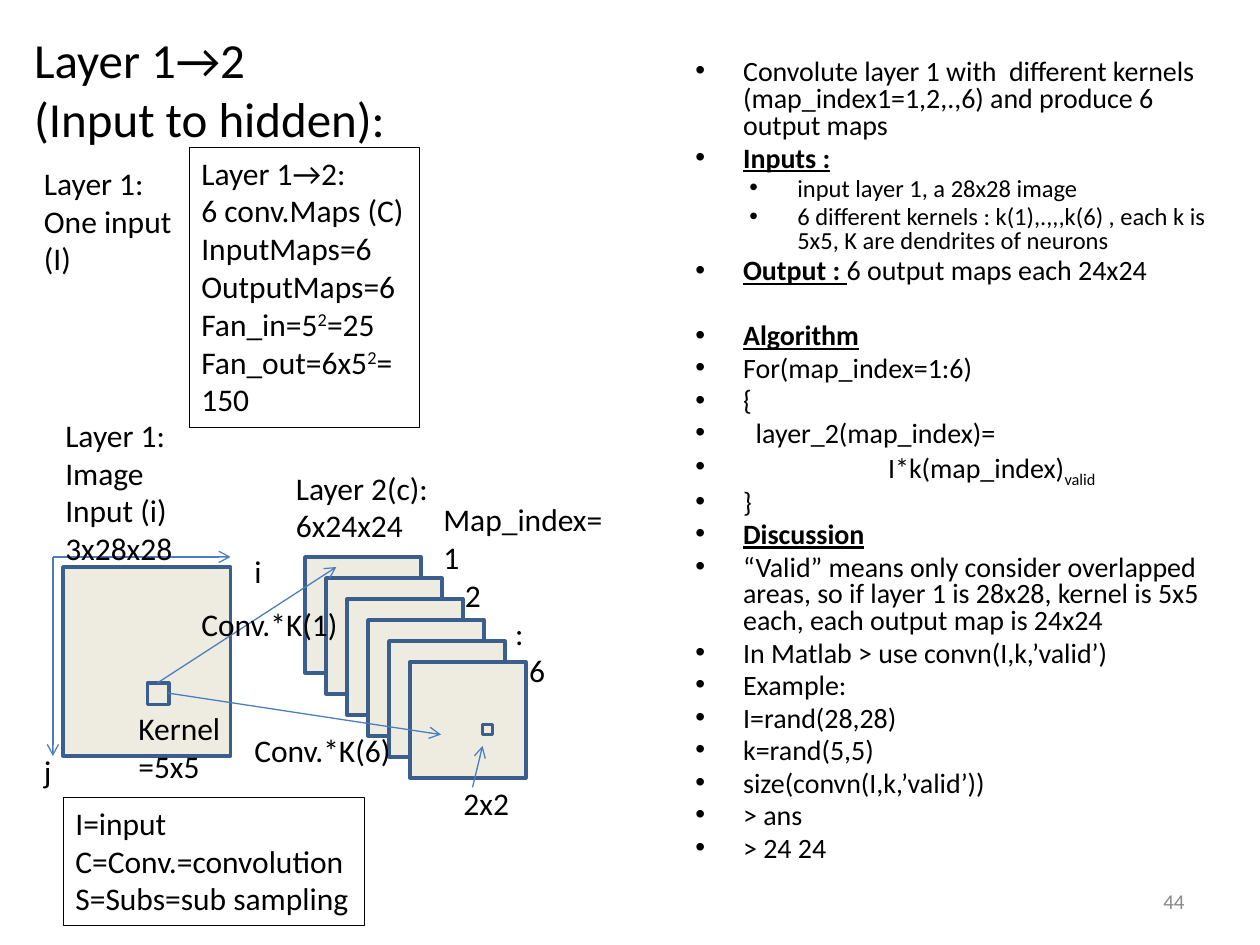
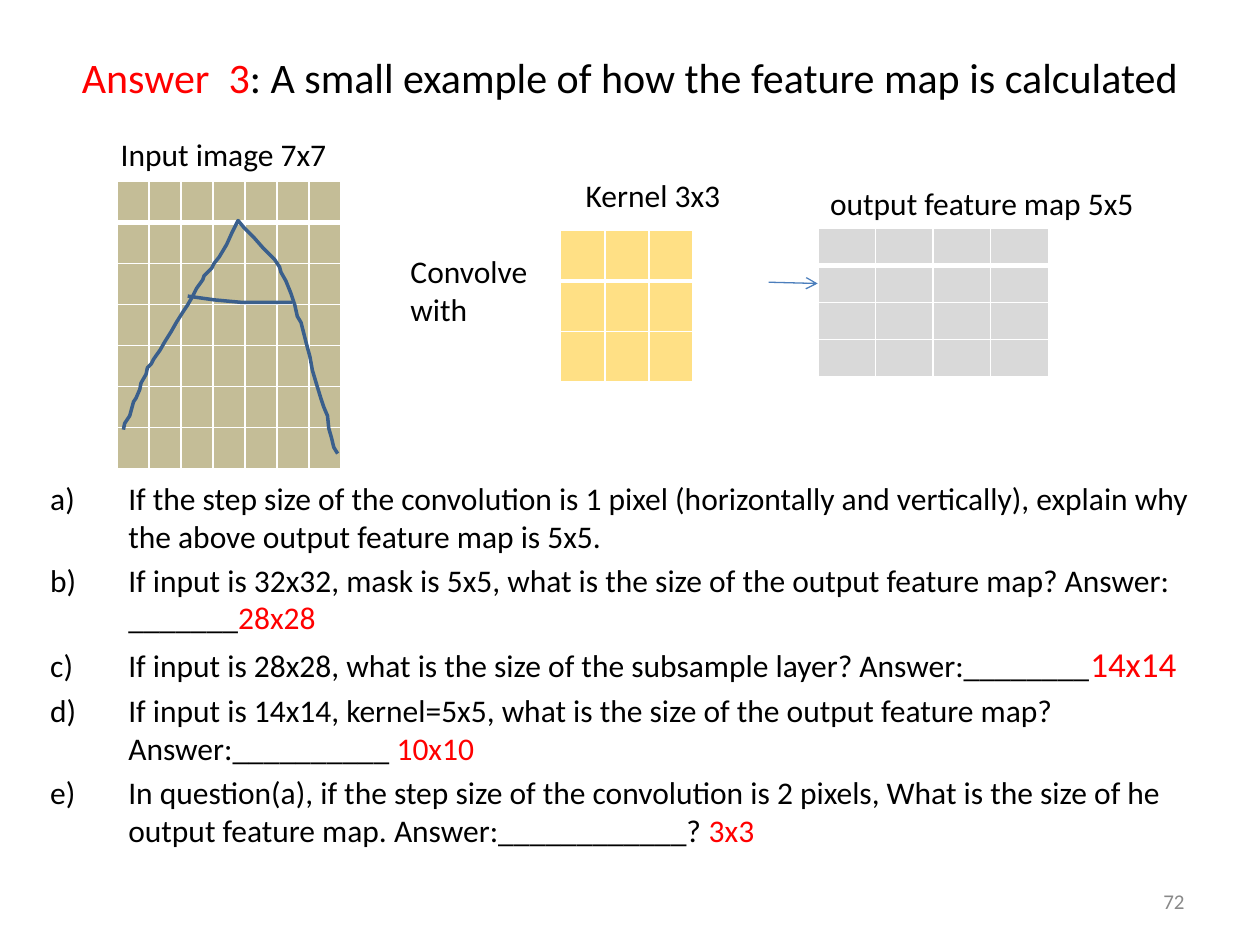
from dataclasses import dataclass

from lxml.etree import SubElement
from pptx import Presentation
from pptx.dml.color import RGBColor
from pptx.enum.shapes import MSO_CONNECTOR, MSO_SHAPE
from pptx.enum.text import MSO_ANCHOR, MSO_AUTO_SIZE, PP_ALIGN
from pptx.oxml.ns import qn
from pptx.util import Inches, Pt


@dataclass(frozen=True)
class Theme:
    font: str = "Calibri"
    text: str = "000000"
    answer: str = "FF0000"
    muted: str = "898989"
    panel: str = "EEECE1"
    outline: str = "3A5F8C"
    arrow: str = "4B7EBC"
    grid: str = "FFFFFF"
    input_cell: str = "C4BD97"
    kernel_cell: str = "FFC000"
    output_cell: str = "D9D9D9"
    large_title: int = 28
    title: int = 24
    label: int = 18
    large_answer: int = 20
    body: int = 16
    sub_body: int = 14
    page: int = 12


THEME = Theme()


@dataclass(frozen=True)
class Box:
    left: float
    top: float
    width: float
    height: float

    def inner(self, left, top, width, height):
        """Box placed relative to the top left corner of this one."""
        return Box(self.left + left, self.top + top, width, height)

    def lengths(self):
        return [Inches(v) for v in (self.left, self.top, self.width, self.height)]


@dataclass(frozen=True)
class Run:
    text: str
    color: str = THEME.text
    size: int = 0
    heading: bool = False
    baseline: int = 0


def rgb(value):
    return RGBColor.from_string(value)


def add_runs(paragraph, runs, size):
    """Add one run or a list of runs; plain strings take the default look."""
    for item in runs if isinstance(runs, list) else [runs]:
        item = Run(item) if isinstance(item, str) else item
        run = paragraph.add_run()
        run.text = item.text
        font = run.font
        font.name, font.size = THEME.font, Pt(item.size or size)
        font.color.rgb = rgb(item.color)
        if item.heading:
            font.bold = font.underline = True
        if item.baseline:
            font._element.set("baseline", str(item.baseline * 1000))


def add_text(slide, box, lines, size=THEME.label, wrap=False, framed=False):
    """Text box with one paragraph for each item of lines."""
    shape = slide.shapes.add_textbox(*box.lengths())
    frame = shape.text_frame
    frame.word_wrap = wrap
    for index, runs in enumerate(lines):
        paragraph = frame.add_paragraph() if index else frame.paragraphs[0]
        add_runs(paragraph, runs, size)
    if framed:
        shape.line.color.rgb = rgb(THEME.text)
        shape.line.width = Pt(0.25)
    return shape


def set_indent(paragraph, left, hanging=0.0):
    properties = paragraph._p.get_or_add_pPr()
    properties.set("marL", str(Inches(left)))
    properties.set("indent", str(-Inches(hanging)))
    return properties


def add_title(slide, box, lines, size, alignment):
    title = slide.shapes.title
    title.left, title.top, title.width, title.height = box.lengths()
    frame = title.text_frame
    frame.auto_size = MSO_AUTO_SIZE.NONE
    frame.vertical_anchor = MSO_ANCHOR.MIDDLE
    paragraph = frame.paragraphs[0]
    paragraph.alignment = alignment
    for index, runs in enumerate(lines):
        if index:
            paragraph.add_line_break()
        add_runs(paragraph, runs, size)


def add_page_number(slide, number):
    shape = add_text(slide, Box(7.17, 6.95, 2.33, 0.4),
                     [Run(str(number), THEME.muted)], THEME.page, wrap=True)
    shape.text_frame.vertical_anchor = MSO_ANCHOR.MIDDLE
    shape.text_frame.paragraphs[0].alignment = PP_ALIGN.RIGHT


def style_outline(shape):
    shape.shadow.inherit = False
    shape.line.color.rgb = rgb(THEME.outline)
    shape.line.width = Pt(2)


def add_panel(slide, box):
    shape = slide.shapes.add_shape(MSO_SHAPE.RECTANGLE, *box.lengths())
    shape.fill.solid()
    shape.fill.fore_color.rgb = rgb(THEME.panel)
    style_outline(shape)


def add_arrow(slide, box, start, end):
    points = [Inches(v) for x, y in (start, end) for v in (box.left + x, box.top + y)]
    connector = slide.shapes.add_connector(MSO_CONNECTOR.STRAIGHT, *points)
    connector.line.color.rgb = rgb(THEME.arrow)
    connector.line.width = Pt(0.75)
    properties = connector._element.spPr
    SubElement(properties.find(qn("a:ln")), qn("a:tailEnd"), type="arrow")
    SubElement(properties, qn("a:effectLst"))


def add_stroke(slide, box, points):
    """Open line through points given in hundredths of an inch."""
    builder = slide.shapes.build_freeform(*points[0], scale=Inches(0.01))
    builder.add_line_segments(points[1:], close=False)
    shape = builder.convert_to_shape(Inches(box.left), Inches(box.top))
    shape.fill.background()
    style_outline(shape)


def add_pixel_grid(slide, box, rows, columns, color, opacity=100):
    table = slide.shapes.add_table(rows, columns, *box.lengths()).table
    for column in table.columns:
        column.width = Inches(box.width / columns)
    for index, row in enumerate(table.rows):
        row.height = Inches(box.height / rows)
        for cell in row.cells:
            style_pixel(cell, color, opacity, bottom=3 if index == 0 else 1)


def style_pixel(cell, color, opacity, bottom):
    properties = cell._tc.get_or_add_tcPr()
    for side, width in (("L", 1), ("R", 1), ("T", 1), ("B", bottom)):
        line = SubElement(properties, qn(f"a:ln{side}"), w=str(Pt(width)))
        SubElement(SubElement(line, qn("a:solidFill")), qn("a:srgbClr"), val=THEME.grid)
    cell.fill.solid()
    cell.fill.fore_color.rgb = rgb(color)
    if opacity < 100:
        fill_color = properties.find(f"{qn('a:solidFill')}/{qn('a:srgbClr')}")
        SubElement(fill_color, qn("a:alpha"), val=str(opacity * 1000))
    cell.margin_top = cell.margin_bottom = 0
    SubElement(cell.text_frame.paragraphs[0]._p, qn("a:endParaRPr"), sz="800")


def add_layer_notes(slide, box):
    add_text(slide, box.inner(0, 0.08, 1.42, 1.01), ["Layer 1:", "One input (I)"], wrap=True)
    squared = Run("2", baseline=30)
    add_text(slide, box.inner(1.25, 0, 1.83, 2.22), [
        "Layer 1→2:", "6 conv.Maps (C)", "InputMaps=6", "OutputMaps=6",
        ["Fan_in=5", squared, "=25"], ["Fan_out=6x5", squared, "=150"],
    ], wrap=True, framed=True)


def add_convolution_diagram(slide, box):
    map_count, map_step = 6, 1 / 6
    for index in range(map_count):
        offset = index * map_step
        add_panel(slide, box.inner(2.17 + offset, 1.17 + offset, 0.92, 0.92))
    input_image = box.inner(0.25, 1.25, 1.33, 1.5)
    kernel = box.inner(0.92, 2.17, 0.17, 0.17)
    sample = box.inner(3.58, 2.5, 0.08, 0.08)
    for panel in (input_image, kernel, sample):
        add_panel(slide, panel)

    arrows = [
        ((1.08, 2.25), (3.25, 2.58)),
        ((1, 2.17), (2.42, 1.25)),
        ((3.5, 3), (3.58, 2.67)),
        ((0.17, 1.17), (1.58, 1.17)),
        ((0.17, 1.17), (0.17, 2.75)),
    ]
    for start, end in arrows:
        add_arrow(slide, box, start, end)

    labels = [
        ((0.17, 0, 1.5, 1.62), ["Layer 1:", "Image", "Input (i)", "3x28x28"]),
        ((0.75, 2.33, 0.86, 0.71), ["Kernel", "=5x5"]),
        ((3.33, 2.92, 0.58, 0.4), ["2x2"]),
        ((2, 0.42, 1.27, 0.71), ["Layer 2(c):", "6x24x24"]),
        ((1.67, 2.5, 1.3, 0.4), ["Conv.*K(6)"]),
        ((1.25, 1.5, 1.3, 0.4), ["Conv.*K(1)"]),
        ((1.67, 1.08, 0.26, 0.4), ["i"]),
        ((0, 2.67, 0.26, 0.4), ["j"]),
    ]
    for place, lines in labels:
        add_text(slide, box.inner(*place), lines)

    indexes = add_text(slide, box.inner(3.17, 0.67, 1.48, 1.62),
                       ["Map_index=", "1", "2", ":", "6"], wrap=True)
    for paragraph, indent in zip(indexes.text_frame.paragraphs, (0, 0, 0.17, 0.57, 0.68)):
        set_indent(paragraph, indent)
    add_text(slide, box.inner(0.25, 3.08, 2.39, 1.01),
             ["I=input", "C=Conv.=convolution", "S=Subs=sub sampling"], framed=True)


def add_algorithm_list(slide, box):
    def heading(text):
        return Run(text, heading=True)

    def detail(text):
        return Run(text, size=THEME.sub_body)

    lines = [
        "Convolute layer 1 with  different kernels (map_index1=1,2,.,6) and produce 6 output maps",
        heading("Inputs :"),
        detail("input layer 1, a 28x28 image"),
        detail("6 different kernels : k(1),.,,,k(6) , each k is 5x5, K are dendrites of neurons"),
        [heading("Output : "), "6 output maps each 24x24"],
        heading("Algorithm"),
        "For(map_index=1:6)",
        "{",
        "  layer_2(map_index)=",
        ["                       I*k(map_index)", Run("valid", baseline=-25)],
        "}",
        heading("Discussion"),
        "“Valid” means only consider overlapped areas, so if layer 1 is 28x28, "
        "kernel is 5x5 each, each output map is 24x24",
        "In Matlab > use convn(I,k,’valid’)",
        "Example:", "I=rand(28,28)", "k=rand(5,5)", "size(convn(I,k,’valid’))",
        "> ans", "> 24 24",
    ]
    shape = add_text(slide, box, lines, THEME.body, wrap=True)
    for index, (paragraph, line) in enumerate(zip(shape.text_frame.paragraphs, lines)):
        is_detail = isinstance(line, Run) and line.size == THEME.sub_body
        properties = set_indent(paragraph, 0.81 if is_detail else 0.38, 0.38)
        SubElement(properties, qn("a:buFont"), typeface="Arial")
        SubElement(properties, qn("a:buChar"), char="•")
        paragraph.line_spacing = 0.8
        if index:
            size = THEME.sub_body if is_detail else THEME.body
            starts_algorithm = line == heading("Algorithm")
            paragraph.space_before = Pt(21.8 if starts_algorithm else size * 0.2)


def add_feature_map_example(slide, box):
    """Input image, kernel and output map side by side, with their labels."""
    labels = [
        ((0, 0, 1.85, 0.4), ["Input image 7x7"]),
        ((2.3, 0.93, 1.14, 0.71), ["Convolve", "with"]),
        ((3.69, 0.33, 1.28, 0.4), ["Kernel 3x3"]),
        ((5.63, 0.39, 2.67, 0.4), ["output feature map 5x5"]),
    ]
    for place, lines in labels:
        add_text(slide, box.inner(*place), lines)
    add_pixel_grid(slide, box.inner(0.07, 0.42, 1.78, 2.28), 7, 7, THEME.input_cell)
    add_pixel_grid(slide, box.inner(3.59, 0.81, 1.05, 1.2), 3, 3, THEME.kernel_cell, 48)
    add_pixel_grid(slide, box.inner(5.63, 0.79, 1.83, 1.18), 4, 4, THEME.output_cell)
    add_arrow(slide, box, (5.24, 1.22), (5.63, 1.23))

    letter = box.inner(0.12, 0.73, 1.7, 1.85)
    legs = [
        (0, 166), (1, 161), (5, 155), (8, 144), (10, 141), (13, 134), (14, 129), (18, 122),
        (19, 117), (22, 114), (24, 110), (29, 103), (33, 96), (38, 88), (42, 81), (47, 73),
        (51, 67), (55, 60), (58, 54), (63, 47), (64, 44), (70, 38), (72, 34), (76, 29),
        (82, 19), (86, 10), (91, 0), (96, 6), (100, 10), (104, 14), (111, 22), (118, 29),
        (120, 31), (124, 37), (125, 41), (129, 48), (133, 58), (136, 67), (138, 76),
        (141, 81), (143, 89), (145, 97), (148, 108), (150, 119), (153, 129), (157, 142),
        (159, 148), (162, 155), (163, 165), (165, 172), (167, 180), (170, 185),
    ]
    crossbar = [(51, 60), (72, 63), (94, 65), (114, 65), (134, 65)]
    for points in (legs, crossbar):
        add_stroke(slide, letter, points)


def add_questions(slide, box):
    def answer(text, size=0):
        return Run(text, THEME.answer, size)

    shape = add_text(slide, box, [
        "If the step size of the convolution is 1 pixel (horizontally and vertically), "
        "explain why the above output feature map is 5x5.",
        ["If input is 32x32, mask is 5x5, what is the size of the output feature map? "
         "Answer: _______", answer("28x28")],
        ["If input is 28x28, what is the size of the subsample layer? Answer:________",
         answer("14x14", THEME.large_answer)],
        ["If input is 14x14, kernel=5x5, what is the size of the output feature map? "
         "Answer:__________ ", answer("10x10")],
        ["In question(a), if the step size of the convolution is 2 pixels, What is the size "
         "of he output feature map. Answer:____________? ", answer("3x3")],
    ], wrap=True)
    for index, paragraph in enumerate(shape.text_frame.paragraphs):
        properties = set_indent(paragraph, 0.62, 0.62)
        SubElement(properties, qn("a:buAutoNum"), type="alphaLcParenR")
        if index:
            paragraph.space_before = Pt(THEME.label * 0.2)


def build_layer_slide(slide):
    add_title(slide, Box(0.17, 0.08, 9, 1.25), ["Layer 1→2", "(Input to hidden):"],
              THEME.large_title, PP_ALIGN.LEFT)
    add_algorithm_list(slide, Box(5.42, 0.43, 4.5, 7.07))
    add_convolution_diagram(slide, Box(0.25, 3.25, 4.65, 4.1))
    add_layer_notes(slide, Box(0.25, 1.17, 3.08, 2.22))
    add_page_number(slide, 44)


def build_answer_slide(slide):
    title = [Run("Answer  3", THEME.answer),
             ": A small example of how the feature map is calculated"]
    add_title(slide, Box(0.5, 0.3, 9, 0.62), [title], THEME.title, PP_ALIGN.CENTER)
    add_feature_map_example(slide, Box(0.86, 1.02, 8.3, 2.7))
    add_questions(slide, Box(0.3, 3.75, 9.61, 3.25))
    add_page_number(slide, 72)


def main():
    presentation = Presentation()
    presentation.slide_width, presentation.slide_height = Inches(10), Inches(7.5)
    title_only = presentation.slide_layouts[5]
    for build in (build_layer_slide, build_answer_slide):
        build(presentation.slides.add_slide(title_only))
    presentation.save("out.pptx")


if __name__ == "__main__":
    main()
